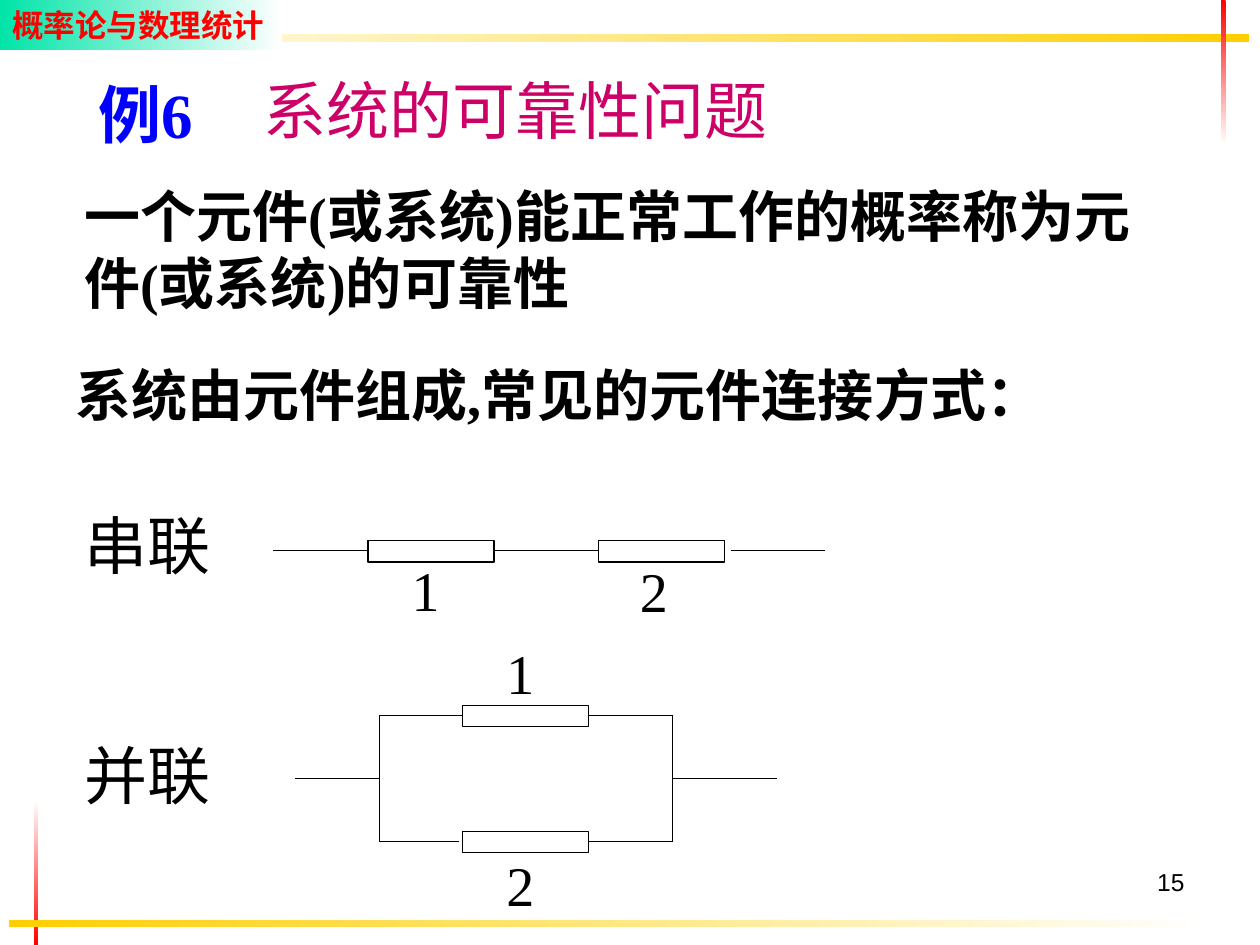
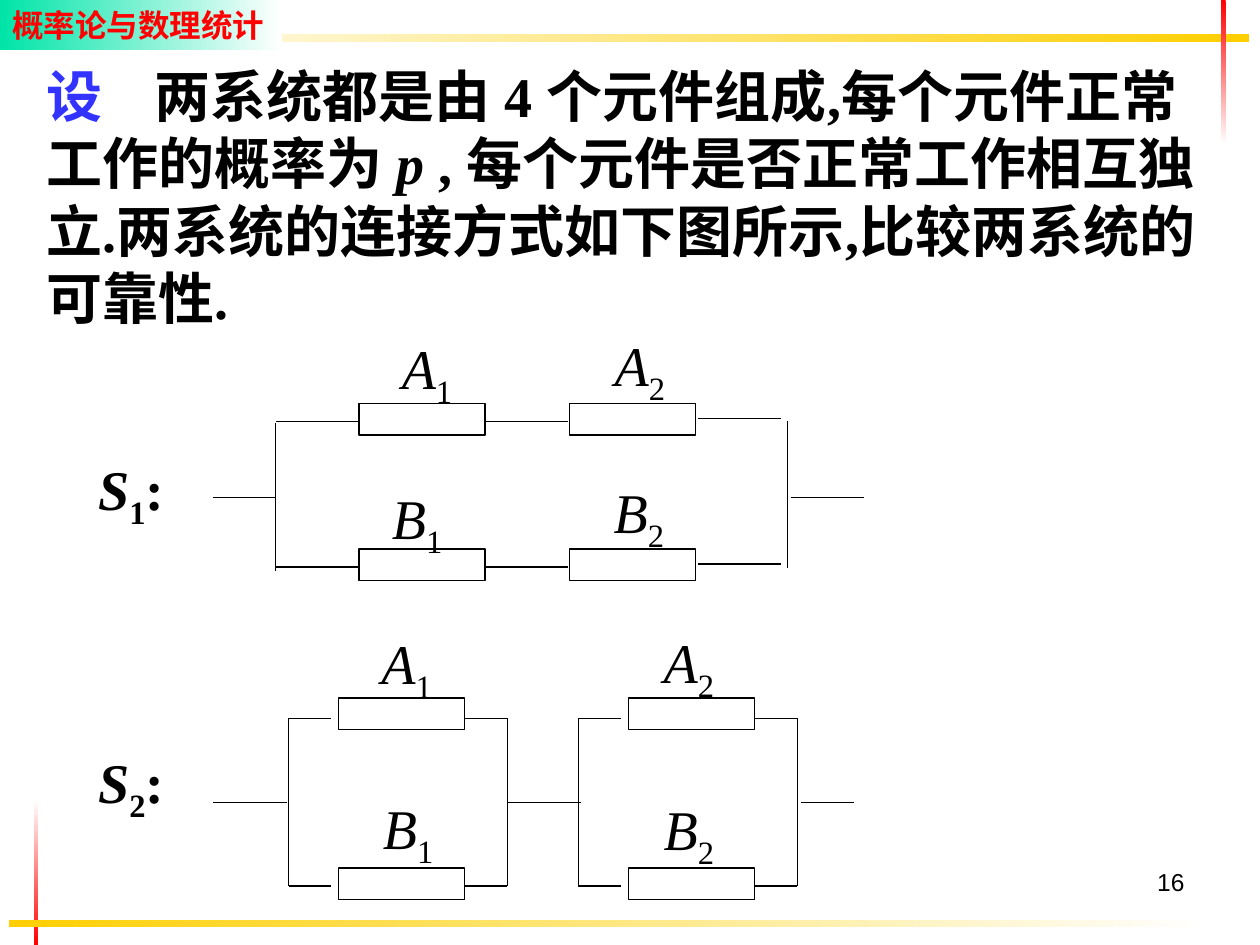
from itertools import product

from lxml.etree import SubElement
from pptx import Presentation
from pptx.dml.color import RGBColor
from pptx.enum.shapes import MSO_CONNECTOR as Connector, MSO_SHAPE as Shape
from pptx.enum.text import MSO_ANCHOR as Anchor, MSO_AUTO_SIZE as AutoSize, PP_ALIGN as Align
from pptx.oxml.ns import qn
from pptx.util import Cm, Pt

BLACK, WHITE, RED, GOLD, GREEN = "000000", "FFFFFF", "FF0000", "FFCF01", "00E4A8"
BLUE, INDIGO, MAGENTA = "0000FF", "3333FF", "CC0066"
SERIF, SANS, HEADER_FONT, CHINESE_FONT = "Times New Roman", "Arial", "Lato", "Lato"
TITLE_ONLY, BLANK = 5, 6
RIGHTWARD, DOWNWARD = 0, 270
RESISTOR_WIDTH = 2.54


def color(hex_string):
    return RGBColor.from_string(hex_string)


class Deck:
    """Holds the shared style and the current slide, and draws each kind of element."""

    def __init__(self):
        self.presentation = Presentation()
        self.presentation.slide_width = Cm(25.4)
        self.presentation.slide_height = Cm(19.05)
        self.slide = None

    def new_slide(self, layout, number):
        layouts = self.presentation.slide_layouts
        self.slide = self.presentation.slides.add_slide(layouts[layout])
        self.band(0.69, 16.13, 0.08, 2.92, WHITE, RED, DOWNWARD)
        self.band(0.18, 18.54, 24.16, 0.15, GOLD, WHITE)
        self.band(1.02, 0.69, 24.16, 0.15, WHITE, GOLD)
        self.band(24.61, 0, 0.1, 2.92, RED, WHITE, DOWNWARD)
        header = self.band(0, 0, 5.69, 1.02, GREEN, WHITE)
        paragraph = self.prepare(header.text_frame, wrap=False)
        self.run(paragraph, "概率论与数理统计", 18, RED, bold=True, font=HEADER_FONT)
        page = self.text_box(18.21, 17.35, 5.92, 1.32)
        page.alignment = Align.RIGHT
        self.run(page, str(number), 14, font=SANS)

    def band(self, left, top, width, height, start, end, angle=RIGHTWARD):
        shape = self.slide.shapes.add_shape(
            Shape.RECTANGLE, Cm(left), Cm(top), Cm(width), Cm(height))
        shape.shadow.inherit = False
        shape.line.fill.background()
        shape.fill.gradient()
        shape.fill.gradient_angle = angle
        for stop, hex_string in zip(shape.fill.gradient_stops, (start, end)):
            stop.color.rgb = color(hex_string)
        return shape

    def prepare(self, frame, wrap=True):
        frame.word_wrap = wrap
        frame.auto_size = AutoSize.NONE
        frame.vertical_anchor = Anchor.TOP
        paragraph = frame.paragraphs[0]
        paragraph.alignment = Align.LEFT
        return paragraph

    def text_box(self, left, top, width, height, wrap=True):
        box = self.slide.shapes.add_textbox(Cm(left), Cm(top), Cm(width), Cm(height))
        return self.prepare(box.text_frame, wrap)

    def run(self, paragraph, text, size=32, hex_string=BLACK, bold=False,
            italic=False, font=SERIF, subscript=False):
        run = paragraph.add_run()
        run.text = text
        run.font.size = Pt(size)
        run.font.bold = bold
        run.font.italic = italic
        run.font.color.rgb = color(hex_string)
        run.font.name = font
        properties = run.font._element
        SubElement(properties, qn("a:ea")).set("typeface", CHINESE_FONT)
        if subscript:
            properties.set("baseline", "-25000")

    def title(self, text, left, top, width, height):
        title = self.slide.shapes.title
        title.left, title.top = Cm(left), Cm(top)
        title.width, title.height = Cm(width), Cm(height)
        paragraph = self.prepare(title.text_frame, wrap=False)
        self.run(paragraph, text, 36, MAGENTA)

    def label(self, text, left, top, width=1.07, height=1.63, **style):
        paragraph = self.text_box(left, top, width, height, wrap=False)
        self.run(paragraph, text, **style)

    def symbol(self, letter, index, left, top, ending="", bold=False):
        paragraph = self.text_box(left, top, 1.83 if ending else 1.52, 1.8, wrap=False)
        self.run(paragraph, letter, bold=bold, italic=True)
        self.run(paragraph, index, bold=bold, subscript=True)
        if ending:
            self.run(paragraph, ending, bold=bold)

    def resistor(self, left, top, height):
        shape = self.slide.shapes.add_shape(
            Shape.RECTANGLE, Cm(left), Cm(top), Cm(RESISTOR_WIDTH), Cm(height))
        shape.shadow.inherit = False
        shape.fill.background()
        shape.line.color.rgb = color(BLACK)
        shape.line.width = Pt(0.75)

    def wire(self, x1, y1, x2, y2):
        line = self.slide.shapes.add_connector(
            Connector.STRAIGHT, Cm(x1), Cm(y1), Cm(x2), Cm(y2))
        line.line.color.rgb = color(BLACK)
        line.line.width = Pt(0.75)
        SubElement(line._element.spPr, qn("a:effectLst"))

    def wires_across(self, y, *spans):
        for start, end in spans:
            self.wire(start, y, end, y)

    def wires_down(self, top, bottom, *columns):
        for x in columns:
            self.wire(x, top, x, bottom)


def build_connection_types(deck):
    deck.new_slide(TITLE_ONLY, 15)
    deck.title("系统的可靠性问题", 5.05, 1.32, 10.67, 1.78)
    example = deck.text_box(1.73, 1.4, 2.72, 1.78, wrap=False)
    for text in ("例", "6"):
        deck.run(example, text, 36, BLUE, bold=True)
    definition = deck.text_box(1.45, 3.53, 22.66, 2.97)
    deck.run(definition, "一个元件(或系统)能正常工作的概率称为元件(或系统)的可靠性", bold=True)
    deck.label("系统由元件组成,常见的元件连接方式：", 1.27, 7.14, 20.55, bold=True)
    for text, top in (("串联", 10.08), ("并联", 14.73)):
        deck.label(text, 1.45, top, 3.05, 1.78, size=36)

    for left in (7.42, 12.07):
        deck.resistor(left, 10.9, 0.43)
    deck.wires_across(11.1, (5.51, 7.42), (9.96, 12.07), (14.73, 16.64))
    deck.label("1", 8.05, 11.07)
    deck.label("2", 12.65, 11.1)

    for top in (14.22, 16.76):
        deck.resistor(9.32, top, 0.43)
    deck.wires_across(14.43, (7.65, 9.32), (11.86, 13.56))
    deck.wires_across(16.97, (7.65, 9.25), (11.86, 13.56))
    deck.wires_across(15.7, (5.94, 7.65), (13.56, 15.67))
    deck.wires_down(14.43, 16.97, 7.65, 13.56)
    deck.label("1", 9.96, 12.75)
    deck.label("2", 9.96, 17.02)


def build_system_comparison(deck):
    deck.new_slide(BLANK, 16)
    problem = deck.text_box(0.69, 1.12, 23.8, 5.69)
    tabs = SubElement(problem._p.get_or_add_pPr(), qn("a:tabLst"))
    tab = SubElement(tabs, qn("a:tab"))
    tab.set("pos", str(Cm(2.18)))
    tab.set("algn", "l")
    deck.run(problem, "设\t", hex_string=INDIGO, bold=True)
    deck.run(problem, "两系统都是由 4 个元件组成,每个元件正常工作的概率为 ", bold=True)
    deck.run(problem, "p", bold=True, italic=True)
    deck.run(problem, " , 每个元件是否正常工作相互独立."
             "两系统的连接方式如下图所示,比较两系统的可靠性.", bold=True)
    for index, top in (("1", 9.04), ("2", 14.94)):
        deck.symbol("S", index, 1.73, top, ending=":", bold=True)

    for top in (8.13, 11.07):
        for left in (7.24, 11.48):
            deck.resistor(left, top, 0.64)
        deck.wires_across(top + 0.36, (5.56, 7.24), (9.78, 11.46))
        deck.wires_across(top + 0.3, (14.07, 15.75))
    deck.wires_down(8.53, 11.51, 5.56)
    deck.wires_down(8.48, 11.46, 15.88)
    deck.wires_across(10.03, (4.29, 5.56), (15.95, 17.42))

    rows = ((14.07, 14.48), (17.5, 17.86))
    for left, (top, wire_y) in product((6.83, 12.67), rows):
        deck.resistor(left, top, 0.64)
        deck.wires_across(wire_y, (left - 1.01, left - 0.15),
                          (left + RESISTOR_WIDTH, left + 3.4))
    for left in (6.83, 12.67):
        deck.wires_down(14.48, 17.86, left - 1.01, left + 3.4)
    deck.wires_across(16.18, (4.29, 5.79), (10.24, 11.71), (16.15, 17.22))

    for letter, index, left, top in (
            ("A", "1", 7.85, 6.6), ("A", "2", 12.14, 6.53),
            ("B", "1", 7.65, 9.63), ("B", "2", 12.12, 9.5),
            ("A", "1", 7.44, 12.55), ("A", "2", 13.13, 12.52),
            ("B", "1", 7.47, 15.88), ("B", "2", 13.13, 15.9)):
        deck.symbol(letter, index, left, top)


def main():
    deck = Deck()
    build_connection_types(deck)
    build_system_comparison(deck)
    deck.presentation.save("out.pptx")


if __name__ == "__main__":
    main()
